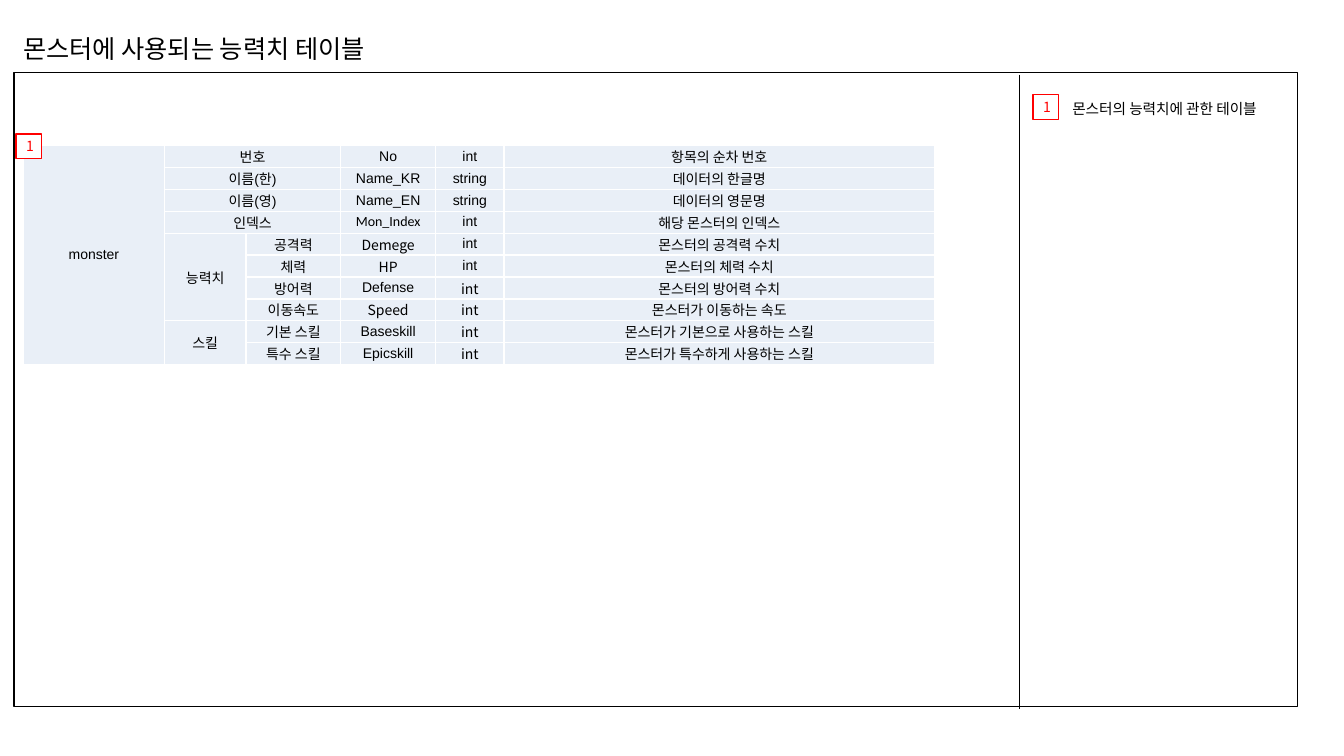
import dataclasses

import lxml.etree
import pptx
import pptx.dml.color
import pptx.enum.shapes
import pptx.enum.text
import pptx.oxml.ns
import pptx.util

Pt = pptx.util.Pt
CENTER = pptx.enum.text.PP_ALIGN.CENTER
MIDDLE = pptx.enum.text.MSO_ANCHOR.MIDDLE
RECTANGLE = pptx.enum.shapes.MSO_SHAPE.RECTANGLE


@dataclasses.dataclass(frozen=True)
class Theme:
    black: str = "000000"
    white: str = "FFFFFF"
    red: str = "FF0000"
    cell: str = "E9EFF7"
    latin: str = "Arial"
    korean: str = "Noto Sans CJK KR"
    index: str = "Calibri"
    title: float = 18
    note: float = 10.5
    body: float = 10


@dataclasses.dataclass(frozen=True)
class Box:
    left: float
    top: float
    width: float
    height: float

    def inner(self, left, top, width, height):
        return Box(self.left + left, self.top + top, width, height)

    def points(self):
        return [Pt(v) for v in (self.left, self.top, self.width, self.height)]


THEME = Theme()
COLUMNS = [100.8, 58.3, 67.7, 67.7, 49, 307.4]
LAT, KOR = THEME.latin, THEME.korean
# label, label font, field, field font, type, description, font of both
FIELDS = [
    ("번호", LAT, "No", LAT, "int", "항목의 순차 번호", LAT),
    ("이름(한)", LAT, "Name_KR", LAT, "string", "데이터의 한글명", LAT),
    ("이름(영)", LAT, "Name_EN", LAT, "string", "데이터의 영문명", LAT),
    ("인덱스", KOR, "Mon_Index", THEME.index, "int", "해당 몬스터의 인덱스", LAT),
    ("공격력", KOR, "Demege", KOR, "int", "몬스터의 공격력 수치", LAT),
    ("체력", KOR, "HP", KOR, "int", "몬스터의 체력 수치", LAT),
    ("방어력", KOR, "Defense", LAT, "int", "몬스터의 방어력 수치", KOR),
    ("이동속도", KOR, "Speed", KOR, "int", "몬스터가 이동하는 속도", KOR),
    ("기본 스킬", KOR, "Baseskill", LAT, "int", "몬스터가 기본으로 사용하는 스킬", KOR),
    ("특수 스킬", KOR, "Epicskill", LAT, "int", "몬스터가 특수하게 사용하는 스킬", KOR),
]
# name, first row, last row
GROUPS = [("능력치", 4, 7), ("스킬", 8, 9)]


def rgb(value):
    return pptx.dml.color.RGBColor.from_string(value)


def set_font(font, size, name=THEME.latin, color=THEME.black):
    font.size, font.name = Pt(size), name
    font.color.rgb = rgb(color)


def add_east_asian(font):
    # Korean glyphs take the East Asian face, which follows the latin one
    latin = font._element.find(pptx.oxml.ns.qn("a:latin"))
    face = lxml.etree.Element(pptx.oxml.ns.qn("a:ea"), typeface=THEME.korean)
    latin.addnext(face)


def write(para, parts, size, color=THEME.black):
    """Fill a paragraph with (text, font name) parts."""
    set_font(para.font, size, parts[0][1], color)
    for text, name in parts:
        span = para.add_run()
        span.text = text
        span.font.name = name
        add_east_asian(span.font)


def add_text(page, box, parts, size):
    frame = page.shapes.add_textbox(*box.points()).text_frame
    frame.word_wrap = True
    write(frame.paragraphs[0], parts, size)


def add_rectangle(page, box, line, fill=None):
    shape = page.shapes.add_shape(RECTANGLE, *box.points())
    shape.shadow.inherit = False
    shape.line.color.rgb, shape.line.width = rgb(line), Pt(1)
    if fill:
        shape.fill.solid()
        shape.fill.fore_color.rgb = rgb(fill)
    else:
        shape.fill.background()
    return shape


def add_marker(page, box, number):
    frame = add_rectangle(page, box, THEME.red, THEME.white).text_frame
    frame.vertical_anchor = MIDDLE
    para = frame.paragraphs[0]
    para.alignment = CENTER
    write(para, [(number, THEME.korean)], THEME.body, THEME.red)


def add_borders(cell):
    properties = cell._tc.get_or_add_tcPr()
    for place, side in enumerate(("lnL", "lnR", "lnT", "lnB")):
        border = lxml.etree.Element(pptx.oxml.ns.qn("a:" + side), w=str(Pt(1)))
        fill = lxml.etree.SubElement(border, pptx.oxml.ns.qn("a:solidFill"))
        lxml.etree.SubElement(fill, pptx.oxml.ns.qn("a:srgbClr"), val=THEME.white)
        properties.insert(place, border)


def fill_cell(cell, text, name):
    cell.vertical_anchor = MIDDLE
    para = cell.text_frame.paragraphs[0]
    para.alignment = CENTER
    write(para, [(text, name)], THEME.body)


def draw_field_table(page, box):
    graphic = page.shapes.add_table(len(FIELDS), len(COLUMNS), *box.points())
    table = graphic.table
    table.first_row = table.horz_banding = False
    for column, width in zip(table.columns, COLUMNS):
        column.width = Pt(width)
    for row in table.rows:
        row.height = Pt(box.height / len(FIELDS))
    for cell in table.iter_cells():
        cell.margin_left = cell.margin_right = cell.margin_top = cell.margin_bottom = 0
        cell.fill.solid()
        cell.fill.fore_color.rgb = rgb(THEME.cell)
        add_borders(cell)
        set_font(cell.text_frame.paragraphs[0].font, THEME.body)

    # Merged name and group cells
    table.cell(0, 0).merge(table.cell(len(FIELDS) - 1, 0))
    fill_cell(table.cell(0, 0), "monster", THEME.latin)
    for name, first, last in GROUPS:
        table.cell(first, 1).merge(table.cell(last, 1))
        fill_cell(table.cell(first, 1), name, THEME.latin)

    # One row per field; a label outside the groups spans two columns
    for row, (label, label_font, field, field_font, kind, about, font) in enumerate(FIELDS):
        grouped = row >= GROUPS[0][1]
        if not grouped:
            table.cell(row, 1).merge(table.cell(row, 2))
        fill_cell(table.cell(row, 2 if grouped else 1), label, label_font)
        fill_cell(table.cell(row, 3), field, field_font)
        fill_cell(table.cell(row, 4), kind, font)
        fill_cell(table.cell(row, 5), about, font)


def draw_title(page, box):
    parts = [("몬스터", THEME.latin), ("에 사용되는 능력치 테이블", THEME.korean)]
    add_text(page, box, parts, THEME.title)


def draw_frame(page, box, divider):
    add_rectangle(page, box, THEME.black)
    x, top = Pt(box.left + divider), box.top + 1.5
    line = page.shapes.add_connector(
        pptx.enum.shapes.MSO_CONNECTOR.STRAIGHT, x, Pt(top), x, Pt(top + box.height))
    line.line.color.rgb, line.line.width = rgb(THEME.black), Pt(0.75)
    lxml.etree.SubElement(line._element.spPr, pptx.oxml.ns.qn("a:effectLst"))


def draw_notes(page, box):
    add_marker(page, box.inner(0, 0, 18, 17.5), "1")
    note = [("몬스터의 능력치에 관한 테이블", THEME.korean)]
    add_text(page, box.inner(20.9, 0, box.width - 20.9, 20), note, THEME.note)


def draw_table_page(page, box):
    frame = box.inner(10.1, 51.8, 916.6, 452.9)
    draw_field_table(page, frame.inner(6.5, 52, sum(COLUMNS), 157))
    draw_title(page, box.inner(9.4, 20.2, 354, 29))
    draw_frame(page, frame, 717.8)
    draw_notes(page, frame.inner(727.9, 15.9, 184.3, 20))
    add_marker(page, frame.inner(1.4, 44, 18, 17.5), "1")


deck = pptx.Presentation()
deck.slide_width, deck.slide_height = Pt(960), Pt(540)
draw_table_page(deck.slides.add_slide(deck.slide_layouts[6]), Box(0, 0, 960, 540))
deck.save("out.pptx")
